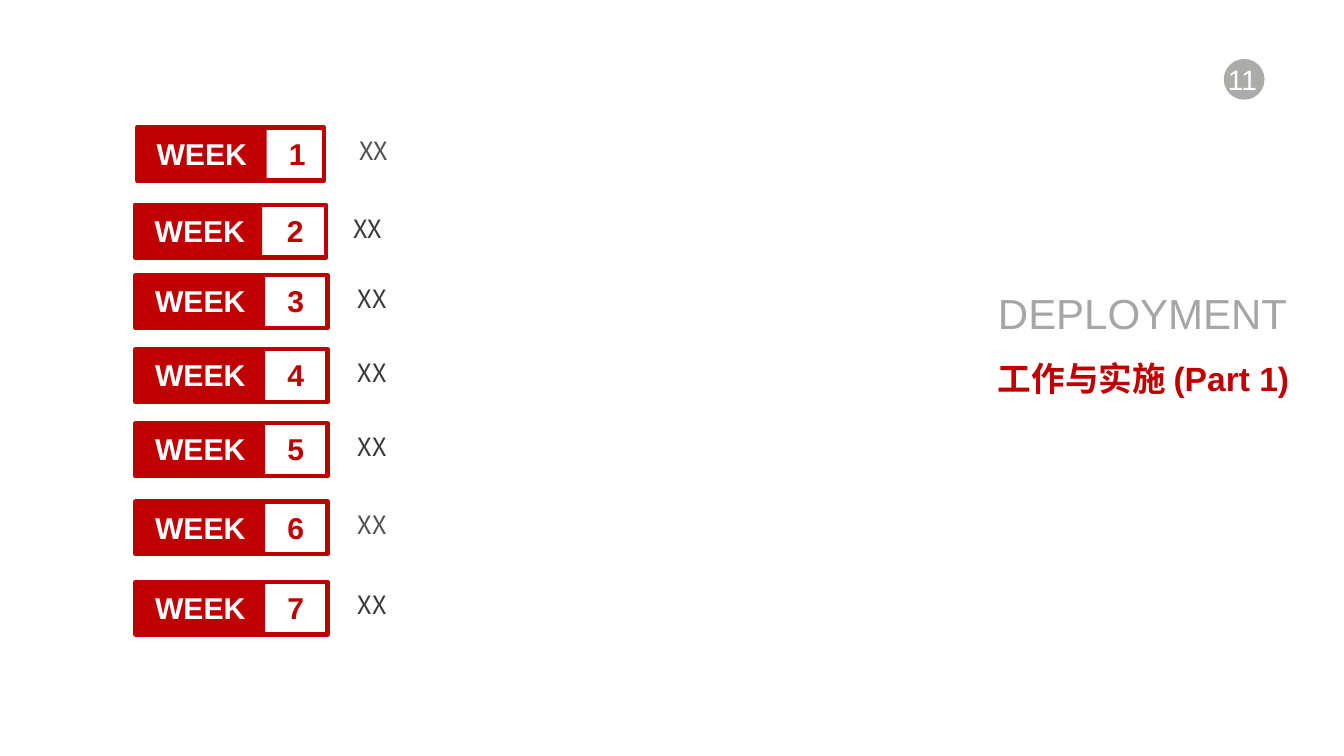
from lxml.etree import SubElement
from pptx import Presentation
from pptx.dml.color import RGBColor as RGB
from pptx.enum.shapes import MSO_SHAPE as SHAPE
from pptx.enum.text import MSO_ANCHOR as ANCHOR, MSO_AUTO_SIZE as AUTO, PP_ALIGN as ALIGN
from pptx.oxml.ns import qn
from pptx.util import Pt

COLORS = {"red": "C00000", "white": "FFFFFF", "badge": "ABACAA", "heading": "A6A6A6",
          "dark": "3A3B39", "medium": "535353"}
LATIN, CJK = "Arial", "Noto Sans CJK SC"
INSET = 3.6
NUMBER_TAB = 188.8

# left, top, bar width, frame width, note left, note width, note colour
WEEKS = [
    (195.84, 180, 185, 267, 509.8, 760, "medium"),
    (193, 290.2, 181.4, 272.9, 501.1, 724, "dark"),
    (193.7, 391, 185, 274.3, 507.6, 632, "dark"),
    (193.7, 496.8, 185, 274.3, 507.6, 812, "dark"),
    (193.7, 602.6, 185, 274.3, 507.6, 774, "dark"),
    (193.7, 714.2, 185, 274.3, 507.6, 865, "medium"),
    (193.7, 828.7, 185, 274.3, 507.6, 799, "dark"),
]


def color(name):
    """Return the named palette colour."""
    return RGB.from_string(COLORS[name])


def add_shape(shapes, kind, box, fill=None, line=None):
    """Add a flat preset shape with an optional fill and outline."""
    sp = shapes.add_shape(kind, *map(Pt, box))
    sp.shadow.inherit = False
    if fill:
        sp.fill.solid()
        sp.fill.fore_color.rgb = color(fill)
    else:
        sp.fill.background()
    if line:
        sp.line.color.rgb = color(line)
        sp.line.width = Pt(6)
    else:
        sp.line.fill.background()
    return sp


def write(sp, runs, size, font=LATIN, bold=False, wrap=True, align=ALIGN.LEFT):
    """Fill a text shape with one paragraph of (text, colour) runs."""
    tf = sp.text_frame
    frame = {"word_wrap": wrap, "auto_size": AUTO.NONE, "vertical_anchor": ANCHOR.TOP}
    frame.update({f"margin_{side}": Pt(INSET) for side in ("left", "right", "top", "bottom")})
    for name, value in frame.items():
        setattr(tf, name, value)
    p = tf.paragraphs[0]
    p.alignment = align
    for text, shade in runs:
        r = p.add_run()
        r.text = text
        for name, value in {"name": font, "size": Pt(size), "bold": bold}.items():
            setattr(r.font, name, value)
        r.font.color.rgb = color(shade)
        SubElement(r.font._element, qn("a:ea"), typeface=CJK)
    return p


def add_text(shapes, box, runs, size, **style):
    """Add a text box and return its paragraph."""
    return write(shapes.add_textbox(*map(Pt, box)), runs, size, **style)


def add_tab(p, position):
    """Give a paragraph one left tab stop."""
    tabs = SubElement(p._p.get_or_add_pPr(), qn("a:tabLst"))
    SubElement(tabs, qn("a:tab"), pos=str(Pt(position)), algn="l")


def add_week(s, number, left, top, bar_w, frame_w, note_left, note_w, note_color):
    """Add one grouped week label with its note."""
    shapes = s.shapes.add_group_shape().shapes
    add_shape(shapes, SHAPE.RECTANGLE, (left, top, bar_w, 75.6), fill="red")
    add_shape(shapes, SHAPE.RECTANGLE, (left, top + 2.2, frame_w, 75.6), line="red")
    p = add_text(shapes, (left + 24.3, top + 9.4, bar_w + 64, 59),
                 [("WEEK\t", "white"), (str(number), "red")], 43, bold=True)
    add_tab(p, NUMBER_TAB)
    add_text(shapes, (note_left, top + 10.3, note_w, 50.4), [("XX", note_color)], 36, font=CJK)


def add_heading(s):
    """Place the title and the heading above it."""
    title = s.shapes.title
    box = {"left": 1422, "top": 508.3, "width": 427, "height": 74.2}
    for name, value in box.items():
        setattr(title, name, Pt(value))
    write(title, [("工作与实施 (Part 1)", "red")], 48, bold=True)
    add_text(s.shapes, (1422, 406.8, 422, 79.2), [("DEPLOYMENT", "heading")], 60, wrap=False)


def add_page_badge(s, number):
    """Add the round page number."""
    add_shape(s.shapes, SHAPE.OVAL, (1748.2, 84.2, 58.3, 58.3), fill="badge")
    add_text(s.shapes, (1749.6, 85.7, 50.4, 54), [(str(number), "white")], 40,
             wrap=False, align=ALIGN.CENTER)


def main():
    """Build and save the slide."""
    prs = Presentation()
    prs.slide_width, prs.slide_height = Pt(1920), Pt(1080)
    s = prs.slides.add_slide(prs.slide_layouts[5])
    add_page_badge(s, 11)
    add_heading(s)
    for number, week in enumerate(WEEKS, 1):
        add_week(s, number, *week)
    prs.save("out.pptx")


if __name__ == "__main__":
    main()
